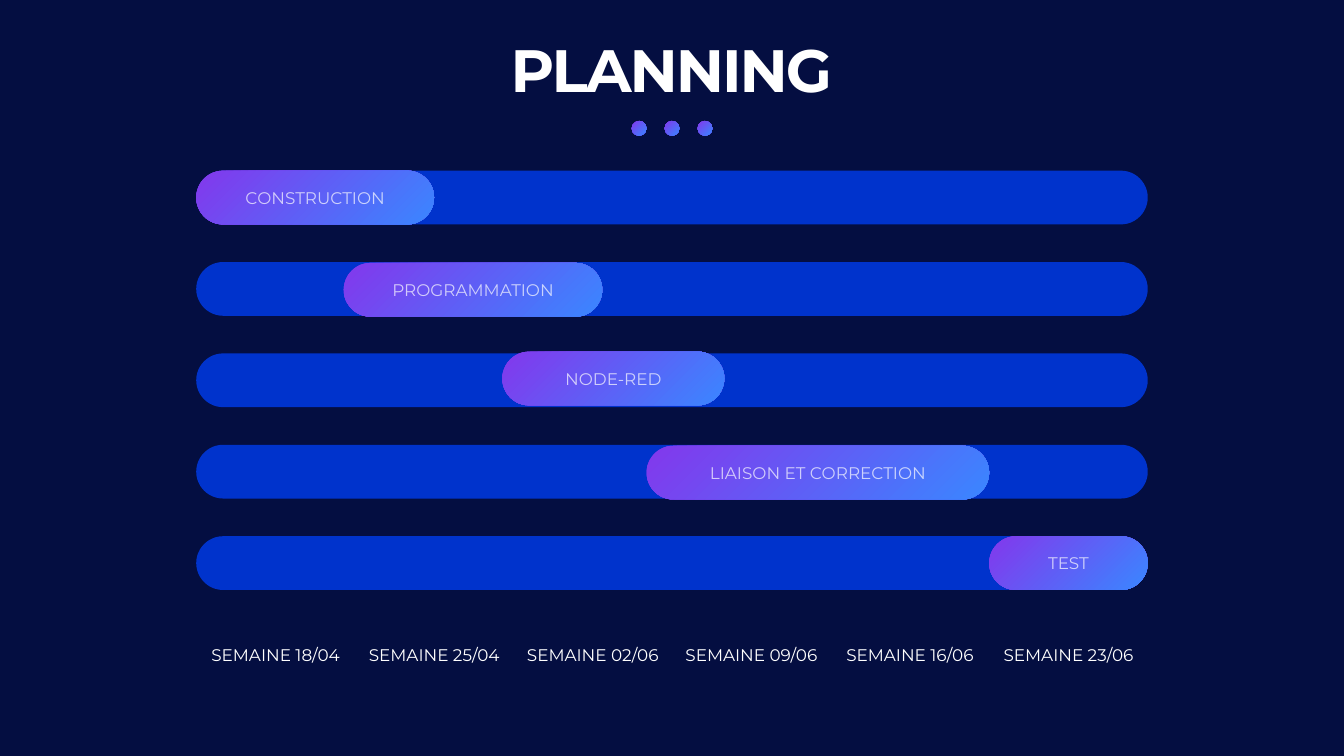
from lxml.etree import SubElement
from pptx import Presentation
from pptx.dml.color import RGBColor
from pptx.enum.shapes import MSO_SHAPE
from pptx.enum.text import MSO_ANCHOR, MSO_AUTO_SIZE, PP_ALIGN
from pptx.oxml.ns import qn
from pptx.util import Inches, Pt

COLORS = {
    "night": "040E41",
    "track": "0033CC",
    "violet": "8338EC",
    "azure": "3A86FF",
    "white": "FFFFFF",
}
FONT = "Montserrat"
LEFT, TOP = 1.46, 1.27
COLUMN, ROW, BAR_HEIGHT = 1.18, 0.68, 0.4
DOT, DOT_GAP, DOT_TOP = 0.11, 0.245, 0.9

TASKS = [
    ("CONSTRUCTION", 0, 0, 1.5),
    ("PROGRAMMATION", 1.01, 0.93, 1.63),
    ("NODE-RED", 1.98, 1.93, 1.4),
    ("LIAISON ET CORRECTION", 3.01, 2.84, 2.16),
    ("TEST", 4, 5, 1),
]
WEEKS = ["18/04", "25/04", "02/06", "09/06", "16/06", "23/06"]


def color(name):
    return RGBColor.from_string(COLORS[name])


def write(shape, text, size=9, bold=False, spacing=None, opacity=None):
    frame = shape.text_frame
    frame.word_wrap = True
    frame.auto_size = MSO_AUTO_SIZE.NONE
    frame.vertical_anchor = MSO_ANCHOR.MIDDLE
    frame.margin_left = frame.margin_right = Inches(0.07)
    frame.margin_top = frame.margin_bottom = Inches(0.04)
    paragraph = frame.paragraphs[0]
    paragraph.alignment = PP_ALIGN.CENTER
    run = paragraph.add_run()
    run.text = text
    run.font.name = FONT
    run.font.size = Pt(size)
    run.font.bold = bold
    run.font.color.rgb = color("white")
    properties = run._r.get_or_add_rPr()
    if spacing is not None:
        properties.set("spc", str(round(spacing * 100)))
    if opacity is not None:
        tint = properties.find(".//" + qn("a:srgbClr"))
        SubElement(tint, qn("a:alpha")).set("val", str(opacity * 1000))


class PlanningSlide:
    def __init__(self, deck):
        self.slide = deck.slides.add_slide(deck.slide_layouts[5])
        self.shapes = self.slide.shapes
        self.paint(self.slide.background.fill, "night")

    def paint(self, fill, name=None):
        if name:
            fill.solid()
            fill.fore_color.rgb = color(name)
            return
        fill.gradient()
        fill.gradient_angle = 315
        for stop, tone in zip(fill.gradient_stops, ("violet", "azure")):
            stop.color.rgb = color(tone)

    def place(self, shapes, preset, left, top, width, height, fill=None):
        shape = shapes.add_shape(
            preset, Inches(left), Inches(top), Inches(width), Inches(height))
        shape.shadow.inherit = False
        shape.line.fill.background()
        self.paint(shape.fill, fill)
        return shape

    def cell(self, preset, row, column, span, fill=None):
        return self.place(self.shapes, preset, LEFT + column * COLUMN,
                          TOP + row * ROW, span * COLUMN, BAR_HEIGHT, fill)

    def title(self, text):
        heading = self.shapes.title
        heading.left, heading.top = Inches(3.63), Inches(0.31)
        heading.width, heading.height = Inches(2.73), Inches(0.4)
        self.paint(heading.fill, "night")
        write(heading, text, size=32, bold=True, spacing=-1.1)

    def dots(self, count):
        group = self.shapes.add_group_shape()
        first = 5 - DOT / 2 - (count - 1) * DOT_GAP / 2
        for index in range(count):
            self.place(group.shapes, MSO_SHAPE.OVAL,
                       first + index * DOT_GAP, DOT_TOP, DOT, DOT)

    def bar(self, row, column, span, fill=None):
        pill = self.cell(MSO_SHAPE.ROUNDED_RECTANGLE, row, column, span, fill)
        pill.adjustments[0] = 0.5
        return pill

    def week(self, column, text):
        label = self.cell(MSO_SHAPE.RECTANGLE, len(TASKS), column, 1, "night")
        write(label, text)

    def task(self, text, row, column, span):
        write(self.bar(row, column, span), text, opacity=70)


def main():
    deck = Presentation()
    deck.slide_width = Inches(10)
    deck.slide_height = deck.slide_width * 9 // 16
    planning = PlanningSlide(deck)
    planning.title("PLANNING")
    planning.dots(3)
    for row in range(len(TASKS)):
        planning.bar(row, 0, len(WEEKS), "track")
    for column, date in enumerate(WEEKS):
        planning.week(column, f"SEMAINE {date}")
    for task in TASKS:
        planning.task(*task)
    deck.save("out.pptx")


if __name__ == "__main__":
    main()
